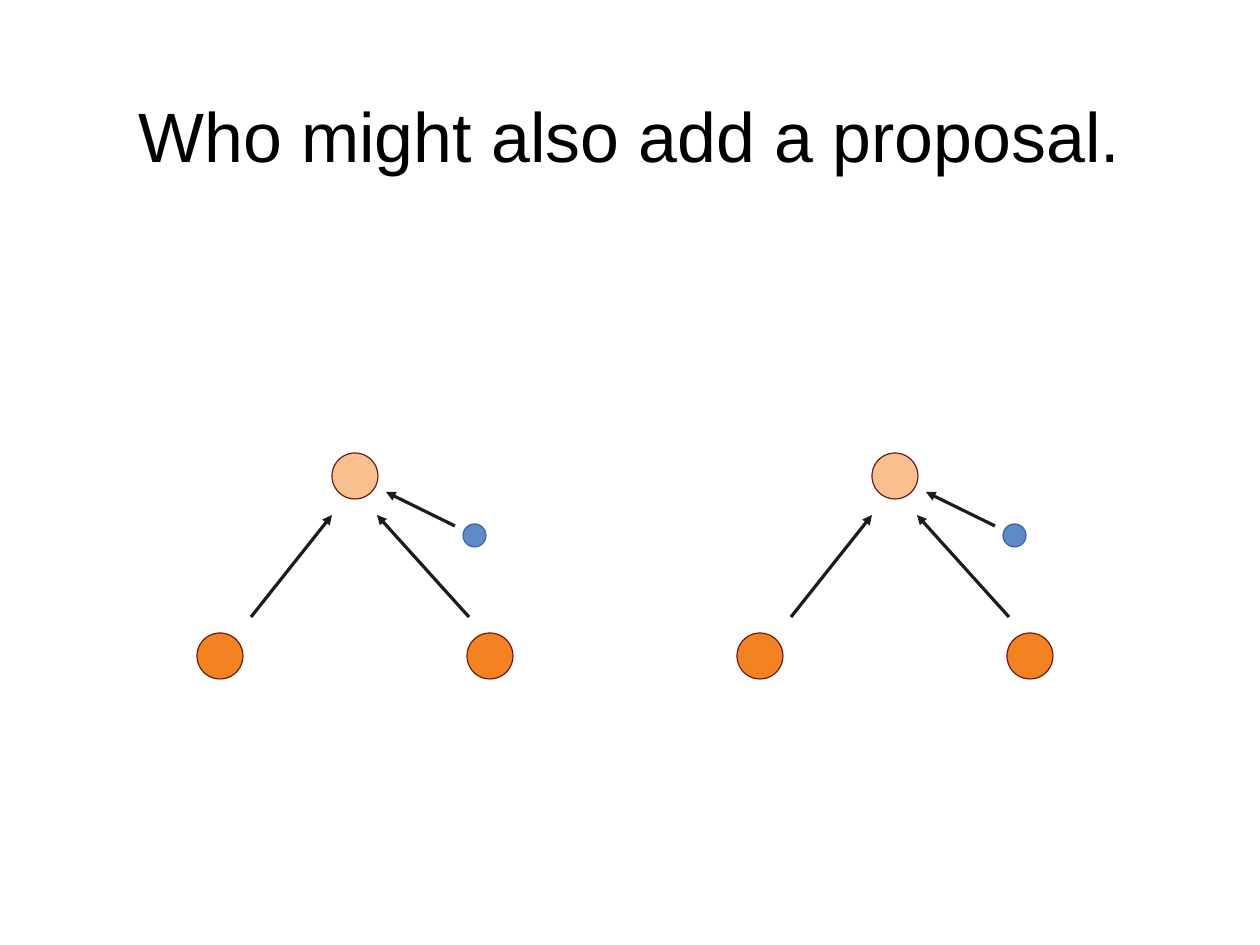
"""Build a slide with two groups of nodes sending proposals to their leaders."""
from lxml import etree
from pptx import Presentation
from pptx import util as u
from pptx.dml.color import RGBColor
from pptx.enum import shapes, text
from pptx.oxml.ns import qn

PX = 8000
COLORS = {
    "title": "000000",
    "node": "F58220",
    "node_line": "6A1816",
    "client": "5E8AC7",
    "client_line": "3465A4",
    "arrow": "1C1C1C",
}


def px(*values):
    """Turn pixels into EMU."""
    return [u.Emu(v * PX) for v in values]


def rgb(name):
    """Look up a named colour."""
    return RGBColor.from_string(COLORS[name])


def add_title(s, box, words):
    """Fill and place the title placeholder."""
    sp = s.shapes.title
    sp.left, sp.top, sp.width, sp.height = px(*box)
    tf = sp.text_frame
    tf.margin_left = tf.margin_top = tf.margin_right = tf.margin_bottom = 0
    tf.vertical_anchor = text.MSO_ANCHOR.MIDDLE
    tf.word_wrap = True
    p = tf.paragraphs[0]
    p.text = words
    p.alignment = text.PP_ALIGN.CENTER
    p.font.size = u.Pt(44)
    p.font.name = "Arial"
    p.font.color.rgb = rgb("title")


def add_circle(s, x, y, size, color, alpha=None):
    """Add a circle, see-through where alpha is given in percent."""
    sp = s.shapes.add_shape(shapes.MSO_SHAPE.OVAL, *px(x, y, size, size))
    sp.shadow.inherit = False
    sp.fill.solid()
    sp.fill.fore_color.rgb = rgb(color)
    sp.line.color.rgb = rgb(color + "_line")
    sp.line.width = u.Pt(0)
    if alpha:
        clr = sp.fill._xPr.find(qn("a:solidFill"))[0]
        etree.SubElement(clr, qn("a:alpha"), val=str(alpha * 1000))


def add_arrow(s, x1, y1, x2, y2):
    """Add a thin arrow pointing at its second end."""
    line = s.shapes.add_connector(
        shapes.MSO_CONNECTOR.STRAIGHT, *px(x1, y1, x2, y2))
    line.line.color.rgb = rgb("arrow")
    line.line.width = u.Pt(0)
    etree.SubElement(line.line._get_or_add_ln(), qn("a:tailEnd"), type="triangle")
    etree.SubElement(line._element.spPr, qn("a:effectLst"))


def add_group(s, box):
    """Draw a leader, two followers and a client inside the box."""
    x, y, w, h = box
    node, client = 46, 23
    for left in (x, x + w - node):
        add_circle(s, left, y + h - node, node, "node")
    add_circle(s, x + (w - node) // 2, y, node, "node", alpha=50)
    add_circle(s, x + 266, y + 71, client, "client")
    for x1, y1, x2, y2 in ((54, 164, 135, 62), (272, 164, 180, 62),
                           (258, 73, 189, 39)):
        add_arrow(s, x + x1, y + y1, x + x2, y + y2)


def main():
    """Assemble and save the slide."""
    prs = Presentation()
    prs.slide_width, prs.slide_height = px(1260, 945)
    s = prs.slides.add_slide(prs.slide_layouts[5])
    add_title(s, (63, 56, 1134, 158), "Who might also add a proposal.")
    for i in range(2):
        add_group(s, (197 + 540 * i, 453, 316, 226))
    prs.save("out.pptx")


main()
